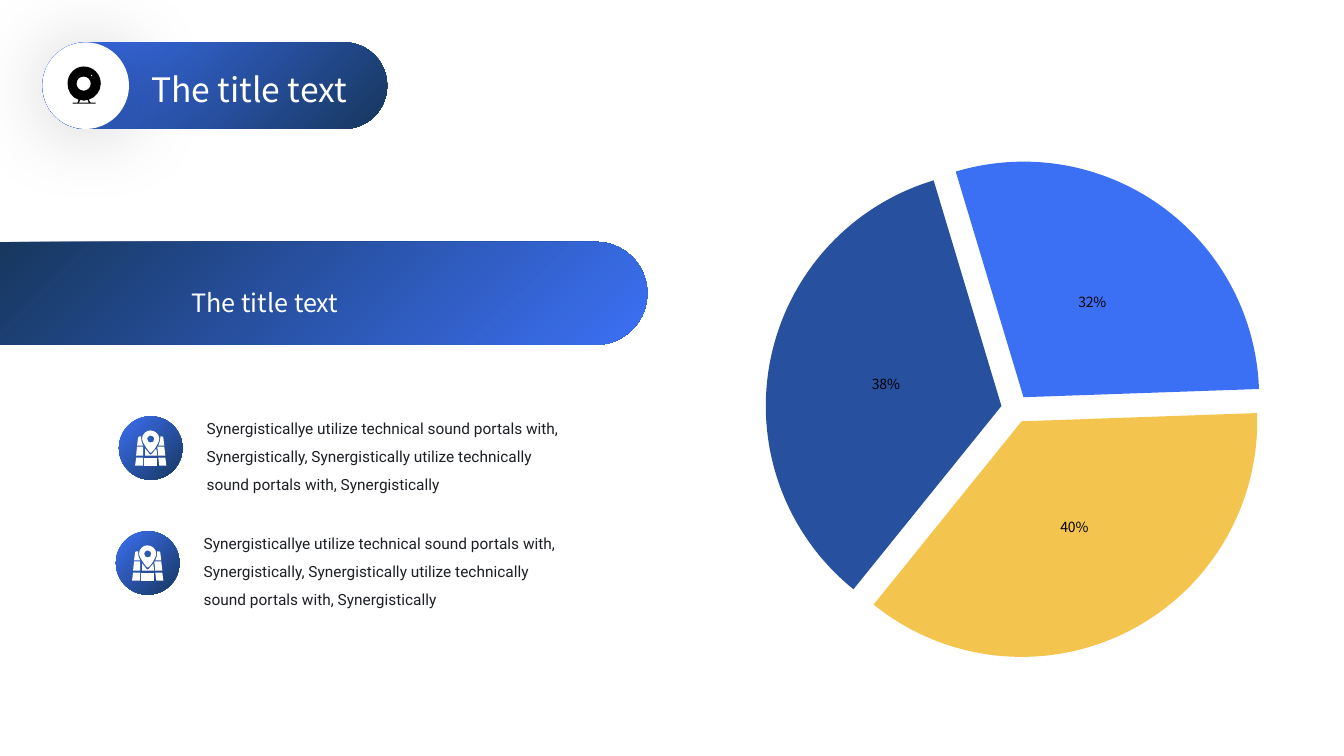
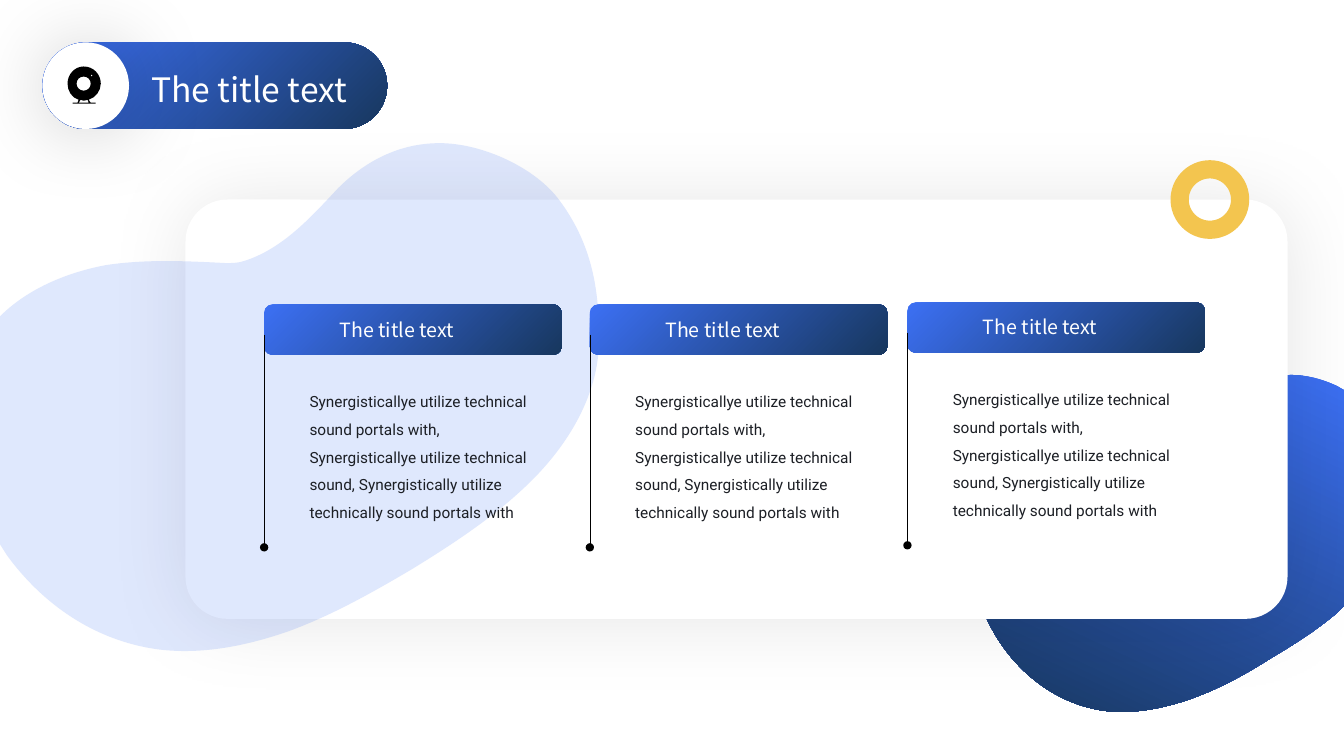
from lxml.etree import SubElement
from pptx import Presentation
from pptx.chart.data import CategoryChartData
from pptx.dml.color import RGBColor
from pptx.enum.chart import XL_CHART_TYPE, XL_LABEL_POSITION
from pptx.enum.shapes import MSO_CONNECTOR, MSO_SHAPE as SHAPE
from pptx.enum.text import MSO_AUTO_SIZE, PP_ALIGN
from pptx.oxml.ns import qn
from pptx.oxml.xmlchemy import OxmlElement
from pptx.util import Inches, Pt

BLUE, NAVY, MID_BLUE, YELLOW = "3C70F4", "17375E", "27509F", "F3C54F"
WHITE, BLACK, INK = "FFFFFF", "000000", "1C1F25"
HEAD_FONT, BODY_FONT = "Noto Sans CJK SC", "Roboto"
TITLE = "The title text"
ITEM_TEXT = (
    "Synergisticallye utilize technical sound portals with, Synergistically, "
    "Synergistically utilize technically sound portals with, Synergistically"
)
COLUMN_TEXT = (
    "Synergisticallye utilize technical sound portals with, Synergisticallye utilize "
    "technical sound, Synergistically utilize technically sound portals with"
)

# Outlines use hundredths of an inch: M moves, L draws a line, C a cubic curve.
WEBCAM = (
    "M 41 23 C 51 23 58 31 58 40 C 58 47 53 54 46 56 L 48 59 L 53 59 L 53 60 "
    "L 30 60 L 30 59 L 35 59 L 36 56 C 29 54 25 47 25 40 C 25 31 32 23 41 23 "
    "M 38 56 L 36 59 L 46 59 L 45 56 C 44 56 43 57 41 57 C 40 57 39 56 38 56 "
    "M 41 33 C 37 33 34 36 34 40 C 34 44 37 47 41 47 C 45 47 48 44 48 40 "
    "C 48 36 45 33 41 33 "
    "M 49 31 C 49 31 48 31 48 32 C 48 32 49 33 49 33 C 50 33 50 32 50 32 "
    "C 50 31 50 31 49 31"
)
MAP_PARTS = (
    "M 24 30 L 18 30 L 17 39 L 24 39",
    "M 45 30 L 38 30 L 39 39 L 46 39",
    "M 38 49 L 38 41 L 25 41 L 25 49",
    "M 33 37 C 33 37 32 38 31 38 C 31 38 30 37 30 37 C 29 36 28 34 26 32 "
    "L 26 39 L 38 39 L 37 32 C 35 34 34 36 33 37",
    "M 24 41 L 17 41 L 16 49 L 24 49",
    "M 41 22 C 41 24 40 27 39 29 L 45 29 L 44 21 L 43 20 L 41 20",
    "M 39 41 L 40 49 L 47 49 L 46 41",
    "M 24 29 C 23 27 22 24 22 22 L 22 20 L 20 20 L 19 21 L 18 29",
    "M 31 14 C 27 14 23 18 23 22 C 23 27 31 36 31 36 L 32 36 C 33 36 40 27 40 22 "
    "C 40 18 36 14 31 14 "
    "M 31 26 C 30 26 28 25 28 22 C 28 21 30 19 31 19 C 34 19 35 21 35 22 "
    "C 35 25 34 26 31 26",
)
NAVY_BLOB = (
    "M 1281 372 C 1295 372 1311 376 1326 383 L 1333 387 L 1333 601 L 1326 608 "
    "C 1306 625 1284 639 1262 652 C 1237 668 1210 683 1182 693 "
    "C 1154 703 1123 709 1094 705 C 1040 697 997 657 977 610 "
    "C 969 591 964 570 964 550 C 965 529 972 507 987 490 "
    "C 1005 469 1033 457 1062 452 C 1088 448 1114 449 1140 450 "
    "C 1144 451 1148 450 1152 449 C 1178 441 1196 420 1214 402 "
    "C 1232 383 1255 372 1281 372"
)
PALE_BLOB = (
    "M 436 142 C 479 142 532 167 555 199 C 587 242 595 288 594 341 "
    "C 593 389 567 436 531 473 C 496 509 452 538 408 565 "
    "C 369 588 330 610 287 626 C 244 641 199 650 155 644 "
    "C 93 635 42 599 7 551 L 0 540 L 0 314 L 4 310 "
    "C 31 285 68 270 105 263 C 145 257 185 259 224 261 "
    "C 230 261 236 261 242 259 C 280 247 308 216 335 187 "
    "C 363 159 397 142 436 142"
)


def rgb(code):
    """Turn a hex string into a colour."""
    return RGBColor.from_string(code)


def paint(sp, color=None, angle=45, stops=(BLUE, NAVY)):
    """Fill a shape with one colour, or with a gradient running clockwise at angle."""
    sp.shadow.inherit = False
    sp.line.fill.background()
    if color:
        sp.fill.solid()
        sp.fill.fore_color.rgb = rgb(color)
        return
    sp.fill.gradient()
    sp.fill.gradient_angle = 360 - angle
    for stop, code in zip(sp.fill.gradient_stops, stops):
        stop.color.rgb = rgb(code)


def add_shape(shapes, kind, left, top, width, height, color=None, **gradient):
    """Add a painted preset shape."""
    sp = shapes.add_shape(kind, Inches(left), Inches(top), Inches(width), Inches(height))
    paint(sp, color, **gradient)
    return sp


def add_glow(sp, alpha):
    """Give a shape a wide soft black shadow."""
    effects = sp._element.spPr.find(qn("a:effectLst"))
    shadow = SubElement(effects, qn("a:outerShdw"), blurRad=str(Pt(59)), dist=str(Pt(3)),
                        dir="2700000", algn="tl", rotWithShape="0")
    color = SubElement(shadow, qn("a:srgbClr"), val=BLACK)
    SubElement(color, qn("a:alpha"), val=str(alpha * 1000))


def bend(sp, commands):
    """Join each three lines that stand for a C command into one cubic curve."""
    lines = iter(list(sp._element.spPr.iter(qn("a:lnTo"))))
    for command in commands:
        if command == "L":
            next(lines)
        elif command == "C":
            corners = [next(lines) for _ in range(3)]
            curve = OxmlElement("a:cubicBezTo")
            corners[0].addprevious(curve)
            for corner in corners:
                curve.append(corner[0])
                corner.getparent().remove(corner)


def add_outline(shapes, outline, left=0, top=0, color=None, **gradient):
    """Add a painted freeform whose outline is relative to left and top."""
    tokens = outline.split()
    commands = [token for token in tokens if token.isalpha()]
    contours = []
    for part in outline.split("M")[1:]:
        numbers = [int(token) / 100 for token in part.split() if token.isdigit()]
        contours.append([(Inches(left + x), Inches(top + y))
                         for x, y in zip(numbers[::2], numbers[1::2])])
    builder = shapes.build_freeform(*contours[0][0])
    for i, contour in enumerate(contours):
        if i:
            builder.move_to(*contour[0])
        builder.add_line_segments(contour[1:], close=True)
    sp = builder.convert_to_shape()
    bend(sp, commands)
    paint(sp, color, **gradient)
    return sp


def add_text(shapes, text, left, top, width, height, size, color=WHITE, font=HEAD_FONT):
    """Add a wrapped text box and return its text frame."""
    box = shapes.add_textbox(Inches(left), Inches(top), Inches(width), Inches(height))
    tf = box.text_frame
    tf.word_wrap = True
    tf.auto_size = MSO_AUTO_SIZE.SHAPE_TO_FIT_TEXT
    tf.text = text
    p = tf.paragraphs[0]
    p.alignment = PP_ALIGN.JUSTIFY
    r = p.runs[0]
    r.font.size, r.font.name, r.font.color.rgb = Pt(size), font, rgb(color)
    return tf


def add_body(shapes, text, left, top, width, height):
    """Add body copy with open line spacing and no insets."""
    tf = add_text(shapes, text, left, top, width, height, 11, INK, BODY_FONT)
    tf.margin_left = tf.margin_right = tf.margin_top = tf.margin_bottom = 0
    tf.paragraphs[0].alignment = PP_ALIGN.LEFT
    tf.paragraphs[0].line_spacing = 1.5


def add_header(slide, left=0.42, top=0.42):
    """Add the title pill with its webcam badge."""
    shapes = slide.shapes.add_group_shape().shapes
    pill = add_shape(shapes, SHAPE.ROUNDED_RECTANGLE, left, top, 3.42, 0.86)
    pill.adjustments[0] = 0.5
    add_glow(add_shape(shapes, SHAPE.OVAL, left, top, 0.86, 0.86, WHITE), 20)
    add_text(shapes, TITLE, left + 0.98, top + 0.21, 2.43, 0.5, 24)
    add_outline(shapes, WEBCAM, left, top + 0.01, BLACK)


def add_band(slide, left, top, width, height):
    """Add the heading band, rounded at its right end."""
    band = add_shape(slide.shapes, SHAPE.ROUND_2_SAME_RECTANGLE,
                     left + (width - height) / 2, top - (width - height) / 2,
                     height, width, angle=315, stops=(NAVY, BLUE))
    band.rotation = 90
    band.adjustments[0] = 0.5
    add_text(slide.shapes, TITLE, left + 1.8, top + 0.4, 2.18, 0.4, 18)


def add_item(slide, left, top):
    """Add a map badge with text beside it."""
    add_shape(slide.shapes, SHAPE.OVAL, left, top, 0.63, 0.63)
    icon = slide.shapes.add_group_shape()
    for part in MAP_PARTS:
        add_outline(icon.shapes, part, left, top, WHITE)
    add_body(slide.shapes, ITEM_TEXT, left + 0.87, top - 0.06, 3.63, 1.07)


def add_pie(slide, left, top, width, height):
    """Add the exploded pie chart."""
    data = CategoryChartData(number_format="0%")
    data.categories = ["1", "2", "3"]
    data.add_series("Series 1", (0.4, 0.38, 0.32))
    chart = slide.shapes.add_chart(XL_CHART_TYPE.PIE, Inches(left), Inches(top),
                                   Inches(width), Inches(height), data).chart
    chart.has_title = chart.has_legend = False
    chart.font.size, chart.font.name, chart.font.color.rgb = Pt(10), HEAD_FONT, rgb(BLACK)
    plot = chart.plots[0]
    plot.vary_by_categories = True
    plot.has_data_labels = True
    labels = plot.data_labels
    labels.show_value, labels.show_percentage = True, False
    labels.number_format, labels.number_format_is_linked = "0%", False
    labels.position = XL_LABEL_POSITION.CENTER
    series = plot.series[0]
    for i, code in enumerate((YELLOW, MID_BLUE, BLUE)):
        fill = series.points[i].format.fill
        fill.solid()
        fill.fore_color.rgb = rgb(code)
    ser = series._element
    explosion = SubElement(ser, qn("c:explosion"), val="6")
    ser.find(qn("c:dPt")).addprevious(explosion)
    pie = ser.getparent()
    angle = pie.find(qn("c:firstSliceAng"))
    if angle is None:
        angle = SubElement(pie, qn("c:firstSliceAng"))
    angle.set("val", "88")


def add_card(slide, left, top, width, height):
    """Add the white card with a ring on its top edge."""
    card = add_shape(slide.shapes, SHAPE.ROUNDED_RECTANGLE, left, top, width, height, WHITE)
    card.adjustments[0] = 0.1
    add_glow(card, 10)
    ring = add_shape(slide.shapes, SHAPE.OVAL, left + width - 1.07, top - 0.3, 0.6, 0.6, WHITE)
    ring.fill.background()
    ring.line.color.rgb, ring.line.width = rgb(YELLOW), Pt(13)


def add_column(slide, left, top):
    """Add a headed text column with a dotted-end rule at its left."""
    shapes = slide.shapes
    add_shape(shapes, SHAPE.FLOWCHART_ALTERNATE_PROCESS, left, top, 2.95, 0.5)
    rule = shapes.add_connector(MSO_CONNECTOR.STRAIGHT, Inches(left), Inches(top + 0.3),
                                Inches(left), Inches(top + 2.41))
    rule.line.color.rgb, rule.line.width = rgb(BLACK), Pt(0.25)
    SubElement(rule.line._get_or_add_ln(), qn("a:tailEnd"), type="oval")
    SubElement(rule._element.spPr, qn("a:effectLst"))
    add_text(shapes, TITLE, left + 0.65, top + 0.08, 1.61, 0.34, 14)
    add_body(shapes, COLUMN_TEXT, left + 0.45, top + 0.78, 2.23, 1.94)


def build_pie_slide(slide):
    """Lay out the band, the two items and the pie chart."""
    add_pie(slide, 6.15, 1.44, 7.84, 5.23)
    add_band(slide, 0, 2.4, 6.42, 1.02)
    add_header(slide)
    for left, top in ((1.18, 4.13), (1.15, 5.27)):
        add_item(slide, left, top)


def build_column_slide(slide):
    """Lay out the card with three columns over two blobs."""
    add_outline(slide.shapes, NAVY_BLOB, angle=115)
    add_card(slide, 1.84, 1.98, 10.93, 4.16)
    blob = add_outline(slide.shapes, PALE_BLOB, color=BLUE)
    color = blob._element.spPr.find(qn("a:solidFill")).find(qn("a:srgbClr"))
    SubElement(color, qn("a:alpha"), val="16000")
    add_header(slide)
    for left, top in ((2.62, 3.02), (5.85, 3.02), (9, 3)):
        add_column(slide, left, top)


def main():
    """Build both slides and save the file."""
    prs = Presentation()
    prs.slide_width, prs.slide_height = Inches(13.33), Inches(7.5)
    for build in (build_pie_slide, build_column_slide):
        build(prs.slides.add_slide(prs.slide_layouts[6]))
    prs.save("out.pptx")


if __name__ == "__main__":
    main()
